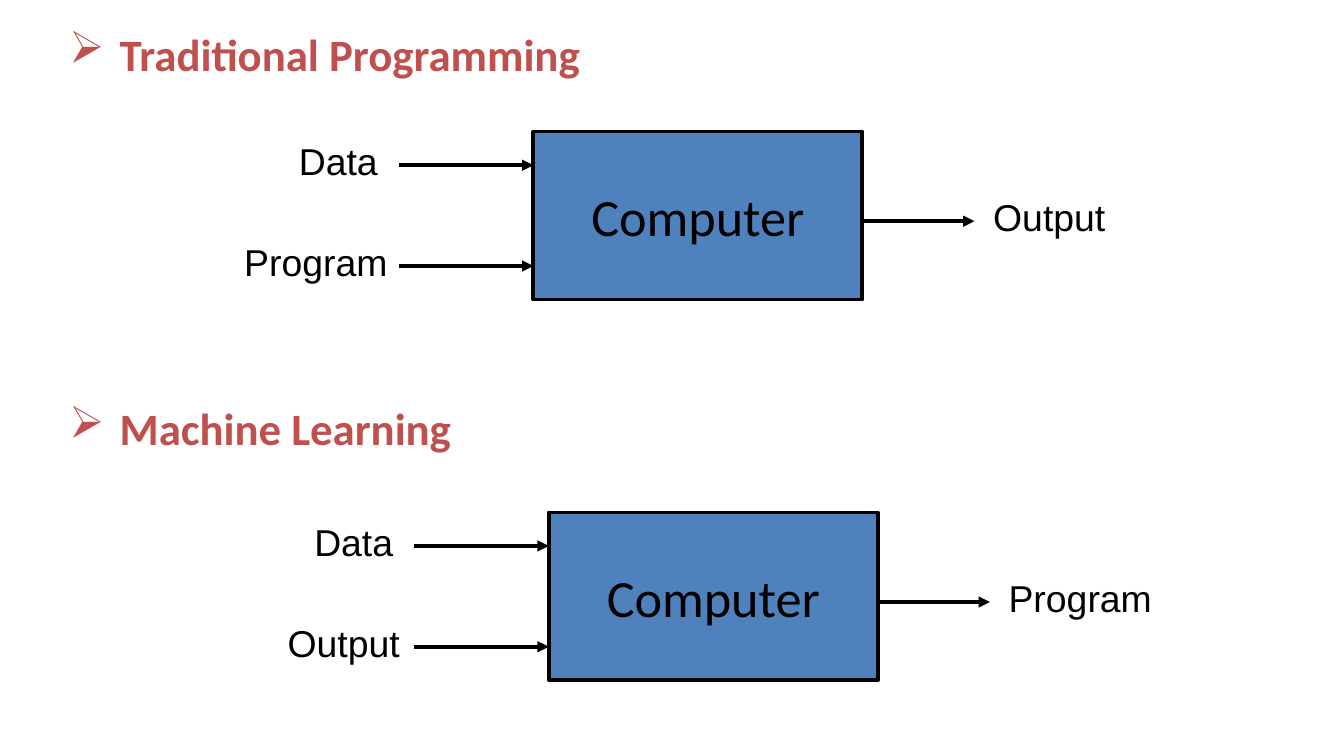
"""Build a slide that contrasts traditional programming with machine learning."""
from dataclasses import dataclass

import pptx
import pptx.dml.color
import pptx.enum.shapes
import pptx.enum.text
import pptx.oxml.ns
import pptx.util
from lxml import etree
from pptx.shapes.autoshape import Shape
from pptx.slide import Slide
from pptx.text.text import TextFrame

EMU_PER_PX = 9525


@dataclass(frozen=True)
class Theme:
    """Colours, fonts and type sizes of the slide."""
    heading: str = "C0504D"
    fill: str = "4F81BD"
    ink: str = "000000"
    title_font: str = "Calibri"
    label_font: str = "Arial"
    heading_size: int = 24
    computer_size: int = 28
    label_size: int = 20
    line_width: int = 2


@dataclass(frozen=True)
class Label:
    """A label with its left edge, measured from the near side of the computer."""
    text: str
    offset: int
    width: int


@dataclass(frozen=True)
class Diagram:
    """A computer box with two inputs and one result."""
    left: int
    top: int
    inputs: tuple[Label, Label]
    result: Label


THEME = Theme()
COMPUTER_WIDTH, COMPUTER_HEIGHT = 235, 120
INPUT_LEVELS = (24, 96)
RESULT_LEVEL = 64
INPUT_LENGTH, RESULT_LENGTH = 96, 80
LABEL_HEIGHT, LABEL_RISE = 42, 24
HEADING_INDENT = 36
HEADING_GAP = 172
HEADINGS = ("Traditional Programming", "Machine Learning")
DIAGRAMS = (
    Diagram(381, 94, (Label("Data", -177, 76), Label("Program", -216, 123)),
            Label("Output", 84, 100)),
    Diagram(392, 366, (Label("Data", -177, 76), Label("Output", -196, 100)),
            Label("Program", 84, 123)),
)


def px(length: int) -> pptx.util.Emu:
    """Turn pixels into EMU."""
    return pptx.util.Emu(length * EMU_PER_PX)


def colour(value: str) -> pptx.dml.color.RGBColor:
    """Read a hexadecimal colour."""
    return pptx.dml.color.RGBColor.from_string(value)


def write_line(frame: TextFrame, text: str, font: str, size: int) -> None:
    """Write one unwrapped line of dark text."""
    frame.word_wrap = False
    paragraph = frame.paragraphs[0]
    paragraph.text = text
    paragraph.font.name = font
    paragraph.font.size = pptx.util.Pt(size)
    paragraph.font.color.rgb = colour(THEME.ink)


def draw_headings(page: Slide) -> None:
    """Write the bulleted headings in one text box."""
    box = page.shapes.add_textbox(px(40), px(14), px(872), px(544))
    frame = box.text_frame
    frame.word_wrap = True
    for index, text in enumerate(HEADINGS):
        paragraph = frame.add_paragraph() if index else frame.paragraphs[0]
        paragraph.text = text
        if index:
            paragraph.space_before = pptx.util.Pt(HEADING_GAP)
        properties = paragraph._p.get_or_add_pPr()
        properties.set("marL", str(px(HEADING_INDENT)))
        properties.set("indent", str(-px(HEADING_INDENT)))
        bullet = etree.SubElement(properties, pptx.oxml.ns.qn("a:buChar"))
        bullet.set("char", "➢")
        paragraph.font.name = THEME.title_font
        paragraph.font.size = pptx.util.Pt(THEME.heading_size)
        paragraph.font.bold = True
        paragraph.font.color.rgb = colour(THEME.heading)


def draw_computer(page: Slide, left: int, top: int) -> Shape:
    """Draw the computer box."""
    box = page.shapes.add_shape(
        pptx.enum.shapes.MSO_SHAPE.RECTANGLE,
        px(left), px(top), px(COMPUTER_WIDTH), px(COMPUTER_HEIGHT))
    box.shadow.inherit = False
    box.fill.solid()
    box.fill.fore_color.rgb = colour(THEME.fill)
    box.line.color.rgb = colour(THEME.ink)
    box.line.width = pptx.util.Pt(THEME.line_width)
    write_line(box.text_frame, "Computer", THEME.title_font, THEME.computer_size)
    box.text_frame.vertical_anchor = pptx.enum.text.MSO_ANCHOR.MIDDLE
    box.text_frame.paragraphs[0].alignment = pptx.enum.text.PP_ALIGN.CENTER
    return box


def draw_arrow(page: Slide, left: int, level: int, length: int) -> None:
    """Draw an arrow that points right."""
    arrow = page.shapes.add_connector(
        pptx.enum.shapes.MSO_CONNECTOR.STRAIGHT,
        px(left), px(level), px(left + length), px(level))
    arrow.line.color.rgb = colour(THEME.ink)
    arrow.line.width = pptx.util.Pt(THEME.line_width)
    head = etree.SubElement(arrow.line._get_or_add_ln(), pptx.oxml.ns.qn("a:tailEnd"))
    head.set("type", "triangle")
    etree.SubElement(arrow._element.spPr, pptx.oxml.ns.qn("a:effectLst"))


def draw_label(page: Slide, label: Label, side: int, level: int) -> None:
    """Write a label beside its arrow."""
    box = page.shapes.add_textbox(
        px(side + label.offset), px(level - LABEL_RISE), px(label.width), px(LABEL_HEIGHT))
    write_line(box.text_frame, label.text, THEME.label_font, THEME.label_size)
    box.text_frame.auto_size = pptx.enum.text.MSO_AUTO_SIZE.SHAPE_TO_FIT_TEXT


def draw_diagram(page: Slide, diagram: Diagram) -> None:
    """Draw a computer with its arrows and labels."""
    draw_computer(page, diagram.left, diagram.top)
    for label, offset in zip(diagram.inputs, INPUT_LEVELS):
        level = diagram.top + offset
        draw_arrow(page, diagram.left - INPUT_LENGTH, level, INPUT_LENGTH)
        draw_label(page, label, diagram.left, level)
    right = diagram.left + COMPUTER_WIDTH
    level = diagram.top + RESULT_LEVEL
    draw_arrow(page, right, level, RESULT_LENGTH)
    draw_label(page, diagram.result, right, level)


def main() -> None:
    """Build and save the deck."""
    deck = pptx.Presentation()
    deck.slide_width, deck.slide_height = px(960), px(540)
    page = deck.slides.add_slide(deck.slide_layouts[6])
    draw_headings(page)
    for diagram in DIAGRAMS:
        draw_diagram(page, diagram)
    deck.save("out.pptx")


if __name__ == "__main__":
    main()
